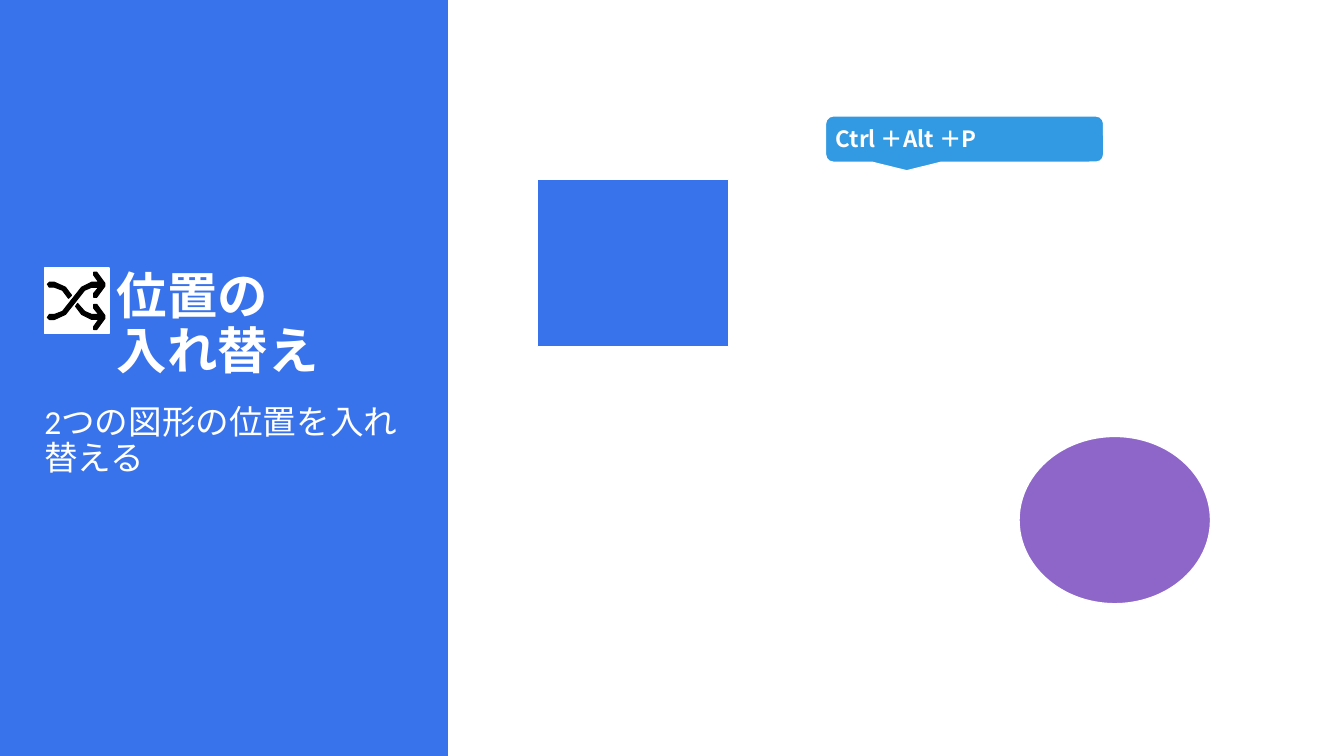
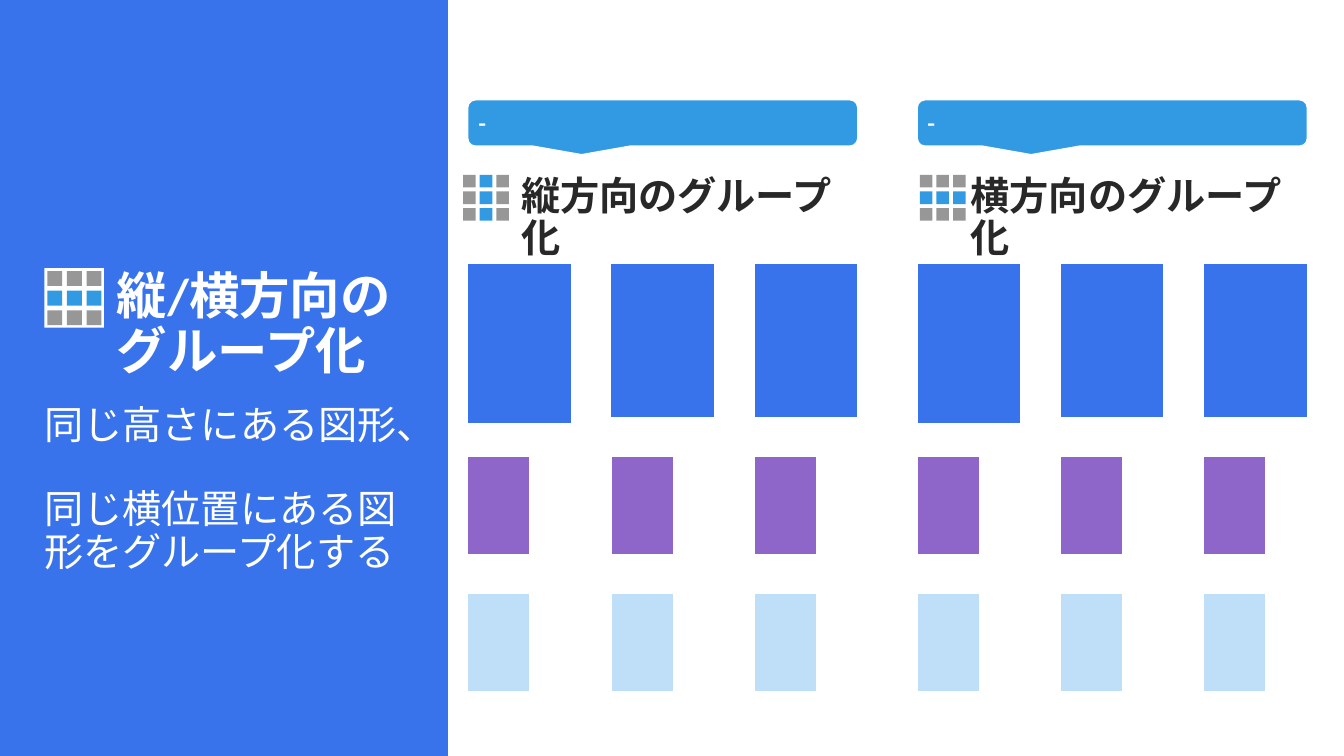
from lxml import etree
from pptx import Presentation
from pptx.dml.color import RGBColor
from pptx.enum import lang, shapes, text
from pptx.oxml.ns import qn
from pptx.util import Inches, Pt

# Shared look
BLUE, PURPLE, PALE = "3973EC", "8E66C9", "BFDEF7"
SKY, GRAY, WHITE, DARK, BLACK = "319AE2", "979797", "FFFFFF", "282828", "000000"
TEXT_FONT, KEY_FONT = "Calibri", "Noto Sans CJK JP"
SHAPE = shapes.MSO_SHAPE

# Outlines of the shuffle icon in inches
SHUFFLE_OUTLINES = [
    [(0.96, 3.02), (0.93, 3.02), (0.93, 3.06), (0.98, 3.12), (0.91, 3.12),
     (0.84, 3.09), (0.77, 3.01), (0.75, 3.04), (0.81, 3.12), (0.91, 3.17),
     (0.98, 3.17), (0.93, 3.24), (0.93, 3.27), (0.96, 3.27), (1.04, 3.16),
     (1.04, 3.13)],
    [(0.49, 2.85), (0.54, 2.85), (0.62, 2.88), (0.68, 2.96), (0.71, 2.93),
     (0.65, 2.85), (0.54, 2.8), (0.49, 2.8), (0.47, 2.82)],
    [(0.91, 2.85), (0.98, 2.85), (0.93, 2.91), (0.93, 2.95), (0.96, 2.95),
     (1.04, 2.84), (1.04, 2.81), (0.96, 2.7), (0.93, 2.7), (0.93, 2.73),
     (0.98, 2.8), (0.91, 2.8), (0.81, 2.85), (0.62, 3.09), (0.54, 3.12),
     (0.49, 3.12), (0.47, 3.15), (0.49, 3.17), (0.54, 3.17), (0.65, 3.12),
     (0.84, 2.88)],
]


def color(hex_string):
    return RGBColor.from_string(hex_string)


def paint(shape, fill, line=None, width=1):
    shape.shadow.inherit = False
    shape.fill.solid()
    shape.fill.fore_color.rgb = color(fill)
    if line:
        shape.line.color.rgb = color(line)
        shape.line.width = Pt(width)
    else:
        shape.line.fill.background()


def add_block(container, box, fill, line=WHITE, kind=SHAPE.RECTANGLE):
    shape = container.shapes.add_shape(kind, *map(Inches, box))
    paint(shape, fill, line)
    return shape


# Text
def write(shape, content, size, font_color=WHITE, bold=False, name=TEXT_FONT,
          indent=0, spacing=0.9, insets=(0.04, 0.04),
          anchor=text.MSO_ANCHOR.TOP):
    frame = shape.text_frame
    frame.text = content
    frame.word_wrap = True
    frame.auto_size = text.MSO_AUTO_SIZE.NONE
    frame.vertical_anchor = anchor
    frame.margin_left = frame.margin_right = Inches(insets[0])
    frame.margin_top = frame.margin_bottom = Inches(insets[1])
    paragraph = frame.paragraphs[0]
    paragraph.alignment = text.PP_ALIGN.LEFT
    paragraph.line_spacing = spacing
    paragraph.space_before = Pt(0)
    font = paragraph.font
    font.size, font.bold, font.name = Pt(size), bold, name
    font.color.rgb = color(font_color)
    font.language_id = lang.MSO_LANGUAGE_ID.JAPANESE
    # East Asian font and left indent
    properties = paragraph._p.pPr
    etree.SubElement(properties.find(qn("a:defRPr")), qn("a:ea"), typeface=name)
    properties.set("marL", str(Inches(indent)))
    properties.set("indent", "0")


def add_text(slide, box, content, size, **style):
    write(slide.shapes.add_textbox(*map(Inches, box)), content, size, **style)


def add_callout(slide, box, content):
    callout = add_block(slide, box, SKY, kind=SHAPE.ROUNDED_RECTANGULAR_CALLOUT)
    for index, value in enumerate((-0.208, 0.685, 0.167)):
        callout.adjustments[index] = value
    write(callout, content, 16, bold=True, name=KEY_FONT, spacing=1,
          insets=(0.08, 0.06), anchor=text.MSO_ANCHOR.MIDDLE)


# Icons
def add_shuffle_icon(slide):
    group = slide.shapes.add_group_shape()
    add_block(group, (0.44, 2.66, 0.64, 0.65), WHITE)
    for outline in SHUFFLE_OUTLINES:
        start, *points = [(Inches(x), Inches(y)) for x, y in outline]
        builder = group.shapes.build_freeform(*start)
        builder.add_line_segments(points, close=True)
        paint(builder.convert_to_shape(), BLACK, BLACK, 0.75)


def add_grid_icon(slide, left, top, size, by_column=False):
    """Three by three cells with the middle column or row highlighted."""
    group = slide.shapes.add_group_shape()
    add_block(group, (left, top, size, size), WHITE, None)
    margin, cell, step = 0.05 * size, 0.25 * size, 0.33 * size
    for column in range(3):
        for row in range(3):
            middle = (column if by_column else row) == 1
            add_block(group, (left + margin + column * step,
                              top + margin + row * step, cell, cell),
                      SKY if middle else GRAY, None)


# Slide frame
def add_side_band(slide):
    """Put the blue band on the layout, behind the titles."""
    band = add_block(slide, (0, 0, 4.44, 7.5), BLUE, BLUE)
    band._element.nvSpPr.cNvPr.set("id", "20")
    slide.slide_layout.shapes._spTree.insert(2, band._element)


def add_slide(presentation, title, body, body_size, title_height, body_height):
    slide = presentation.slides.add_slide(presentation.slide_layouts[5])
    placeholder = slide.shapes.title
    placeholder.left, placeholder.top = Inches(0.34), Inches(2.65)
    placeholder.width, placeholder.height = Inches(3.91), Inches(title_height)
    write(placeholder, title, 36, bold=True, indent=0.78)
    add_text(slide, (0.4, 3.98, 3.91, body_height), body, body_size)
    return slide


def add_group_example(slide, left, heading, icon_left, by_column):
    add_text(slide, (left, 1.71, 3.87, 0.5), heading, 28,
             font_color=DARK, bold=True, indent=0.49)
    for column in range(3):
        x = left + column * 1.42
        add_block(slide, (x, 2.61, 1.03, 1.53 if column else 1.59), BLUE)
        add_block(slide, (x, 4.53, 0.62, 0.97), PURPLE)
        add_block(slide, (x, 5.89, 0.62, 0.97), PALE)
    add_grid_icon(slide, icon_left, 1.71, 0.5, by_column)
    add_callout(slide, (left, 0.99, 3.87, 0.46), "-")


def main():
    presentation = Presentation()
    presentation.slide_height = Inches(7.5)
    presentation.slide_width = presentation.slide_height * 16 // 9

    # Swapping positions
    swap = add_slide(presentation, "位置の\v入れ替え",
                     "2つの図形の位置を入れ\v替える", 24, 1.17, 0.81)
    add_side_band(swap)
    add_block(swap, (5.33, 1.78, 1.9, 1.66), BLUE)
    add_block(swap, (10.11, 4.33, 1.9, 1.66), PURPLE, kind=SHAPE.OVAL)
    add_shuffle_icon(swap)
    add_callout(swap, (8.19, 1.15, 2.76, 0.46), "Ctrl ＋Alt ＋P")

    # Grouping by column and by row
    grouping = add_slide(presentation, "縦/横方向の\vグループ化",
                         "同じ高さにある図形、\v同じ横位置にある図形をグループ化する",
                         28, 0.62, 1.35)
    add_group_example(grouping, 4.64, "縦方向のグループ化", 4.57, True)
    add_group_example(grouping, 9.1, "横方向のグループ化", 9.1, False)
    add_grid_icon(grouping, 0.44, 2.66, 0.59)

    presentation.save("out.pptx")


if __name__ == "__main__":
    main()
